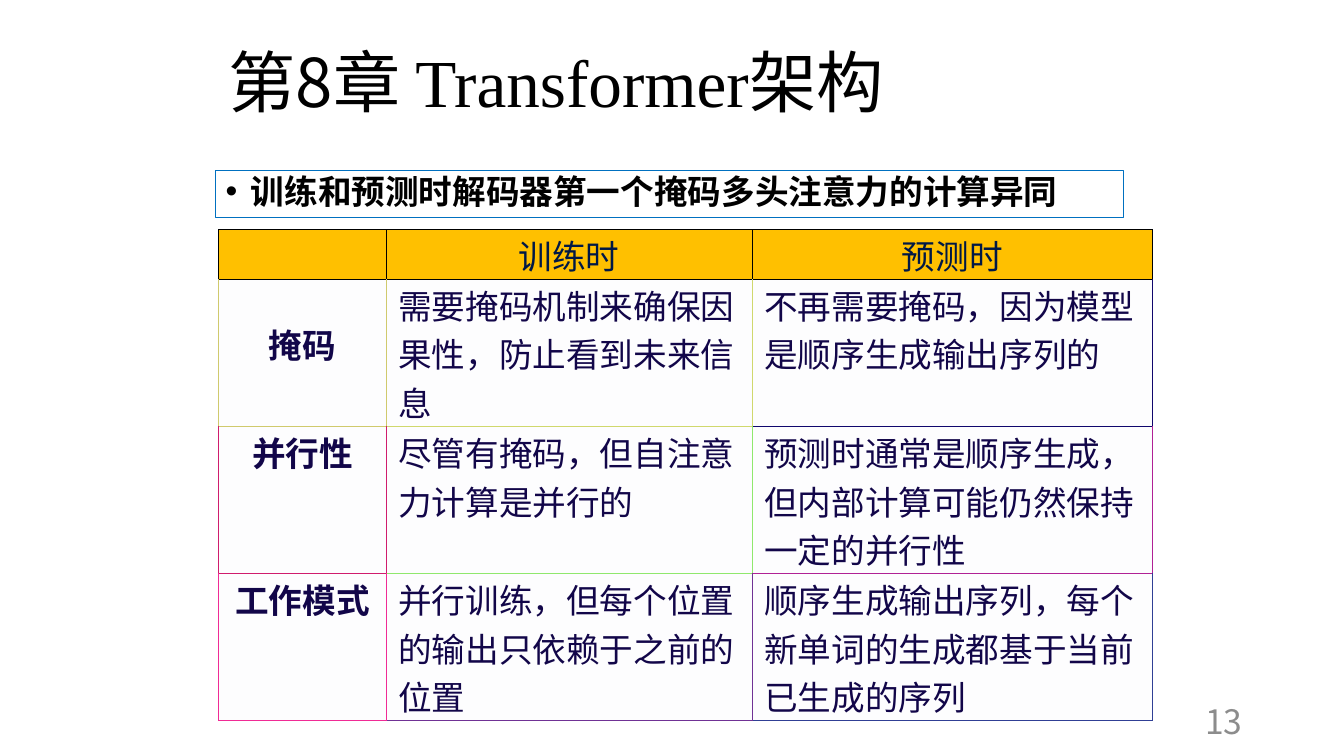
from dataclasses import dataclass

from lxml.etree import SubElement
from pptx import Presentation
from pptx.dml.color import RGBColor
from pptx.enum.text import MSO_ANCHOR, PP_ALIGN
from pptx.oxml import parse_xml
from pptx.oxml.ns import nsdecls, qn
from pptx.util import Pt

EMU_PER_PX = 9144


@dataclass(frozen=True)
class Theme:
    """Colours, fonts and type sizes of the slide."""
    ink: str = "000000"
    muted: str = "8C8C8C"
    frame: str = "0070C0"
    header_fill: str = "FFC000"
    header_text: str = "001846"
    cell_fill: str = "FDFDFE"
    cell_text: str = "120649"
    sans: str = "Noto Sans CJK SC"
    serif: str = "Times New Roman"
    label: str = "Karla"
    title_size: int = 48
    text_size: int = 24
    outer_line: float = 1
    inner_line: float = 0.5
    frame_line: float = 0.75


def px(length):
    """Turn a length in px into EMU."""
    return length * EMU_PER_PX


class SlideBuilder:
    """Draws styled elements on the current slide."""

    def __init__(self, slide, theme):
        """Keep the slide and its theme."""
        self.slide = slide
        self.theme = theme

    def style_run(self, run, color, size, font=None, bold=False):
        """Set the colour, size and Latin and East Asian fonts of a run."""
        run.font.size = Pt(size)
        run.font.bold = bold
        run.font.color.rgb = RGBColor.from_string(color)
        run.font.name = font or self.theme.sans
        properties = run.font._element
        east_asian = SubElement(properties, qn("a:ea"), typeface=self.theme.sans)
        properties.find(qn("a:latin")).addnext(east_asian)

    def text_box(self, box, anchor=MSO_ANCHOR.TOP):
        """Add a wrapping text box and return it."""
        text_box = self.slide.shapes.add_textbox(*map(px, box))
        text_box.text_frame.word_wrap = True
        text_box.text_frame.vertical_anchor = anchor
        return text_box

    def title(self, box, chapter, topic):
        """Add the title with its chapter number and topic."""
        heading = self.text_box(box, MSO_ANCHOR.MIDDLE).text_frame.paragraphs[0]
        heading.line_spacing = 0.9
        for words, font in ((chapter, self.theme.sans), (topic, self.theme.serif)):
            run = heading.add_run()
            run.text = words
            self.style_run(run, self.theme.ink, self.theme.title_size, font)

    def bullet(self, box, statement):
        """Add a framed bold bullet."""
        framed = self.text_box(box)
        framed.line.color.rgb = RGBColor.from_string(self.theme.frame)
        framed.line.width = Pt(self.theme.frame_line)
        paragraph = framed.text_frame.paragraphs[0]
        paragraph.text = statement
        paragraph.line_spacing = 0.9
        paragraph.space_before = Pt(10)
        self.style_run(paragraph.runs[0], self.theme.ink, self.theme.text_size, bold=True)
        properties = paragraph._p.get_or_add_pPr()
        properties.set("marL", str(px(25)))
        properties.set("indent", str(px(-25)))
        SubElement(properties, qn("a:buFont"), typeface="Arial")
        SubElement(properties, qn("a:buChar"), char="•")

    def page_number(self, box, number):
        """Add the page number, set to the right."""
        paragraph = self.text_box(box, MSO_ANCHOR.MIDDLE).text_frame.paragraphs[0]
        paragraph.text = number
        paragraph.alignment = PP_ALIGN.RIGHT
        self.style_run(paragraph.runs[0], self.theme.muted, self.theme.text_size)

    def cell_borders(self, cell, borders):
        """Draw the left, right, top and bottom borders of a cell."""
        for index, (side, color, outer) in enumerate(borders):
            width = Pt(self.theme.outer_line if outer else self.theme.inner_line)
            border = parse_xml(
                f'<a:ln{side} {nsdecls("a")} w="{width}"><a:solidFill>'
                f'<a:srgbClr val="{color}"/></a:solidFill></a:ln{side}>')
            cell._tc.get_or_add_tcPr().insert(index, border)

    def cell(self, cell, words, is_header, is_label, top_margin):
        """Fill one table cell and style its words."""
        theme = self.theme
        cell.fill.solid()
        cell.fill.fore_color.rgb = RGBColor.from_string(
            theme.header_fill if is_header else theme.cell_fill)
        centred = is_header or is_label
        cell.margin_left = px(1 if centred else 12)
        cell.margin_right = px(1)
        cell.margin_top = px(top_margin)
        cell.margin_bottom = 0
        if not words:
            return
        cell.text_frame.text = words
        paragraph = cell.text_frame.paragraphs[0]
        paragraph.alignment = PP_ALIGN.CENTER if centred else PP_ALIGN.LEFT
        self.style_run(paragraph.runs[0],
                       theme.header_text if is_header else theme.cell_text,
                       theme.text_size,
                       theme.label if is_label else theme.sans, is_label)

    def table(self, left, top, widths, heights, content, edges, lowered):
        """Add the table; neighbouring cells share the colour of their edge."""
        last_row, last_column = len(heights) - 1, len(widths) - 1
        table = self.slide.shapes.add_table(
            len(heights), len(widths), px(left), px(top),
            px(sum(widths)), px(sum(heights))).table
        table.first_row = table.horz_banding = False
        for column, width in zip(table.columns, widths):
            column.width = px(width)
        for row, height in zip(table.rows, heights):
            row.height = px(height)
        for r, row_words in enumerate(content):
            for c, words in enumerate(row_words):
                cell = table.cell(r, c)
                self.cell(cell, words, r == 0, c == 0, lowered.get((r, c), 1))
                own = edges[r][c]
                self.cell_borders(cell, (
                    ("L", edges[r][max(c - 1, 0)], c == 0),
                    ("R", own, c == last_column),
                    ("T", edges[max(r - 1, 0)][c], r == 0),
                    ("B", own, r == last_row)))


def main():
    """Build and save the slide."""
    presentation = Presentation()
    presentation.slide_width, presentation.slide_height = px(1333), px(750)
    theme = Theme()
    builder = SlideBuilder(
        presentation.slides.add_slide(presentation.slide_layouts[6]), theme)

    builder.title((217, 23, 900, 125), "第8章 ", "Transformer架构")
    builder.page_number((942, 695, 300, 40), "13")
    builder.bullet((214, 169, 900, 47), "训练和预测时解码器第一个掩码多头注意力的计算异同")

    comparison = (
        ("", "训练时", "预测时"),
        ("掩码", "需要掩码机制来确保因果性，防止看到未来信息",
         "不再需要掩码，因为模型是顺序生成输出序列的"),
        ("并行性", "尽管有掩码，但自注意力计算是并行的",
         "预测时通常是顺序生成，但内部计算可能仍然保持一定的并行性"),
        ("工作模式", "并行训练，但每个位置的输出只依赖于之前的位置",
         "顺序生成输出序列，每个新单词的生成都基于当前已生成的序列"),
    )
    edges = (
        (theme.ink,) * 3,
        ("D0CA6D", "D0D86D", "10076D"),
        ("D01C6D", "90E86D", "B02195"),
        ("F02B95", "703295", "303F95"),
    )
    builder.table(217, 228, (166, 363, 397), (49, 146, 146, 146),
                  comparison, edges, lowered={(1, 0): 40})
    presentation.save("out.pptx")


if __name__ == "__main__":
    main()
